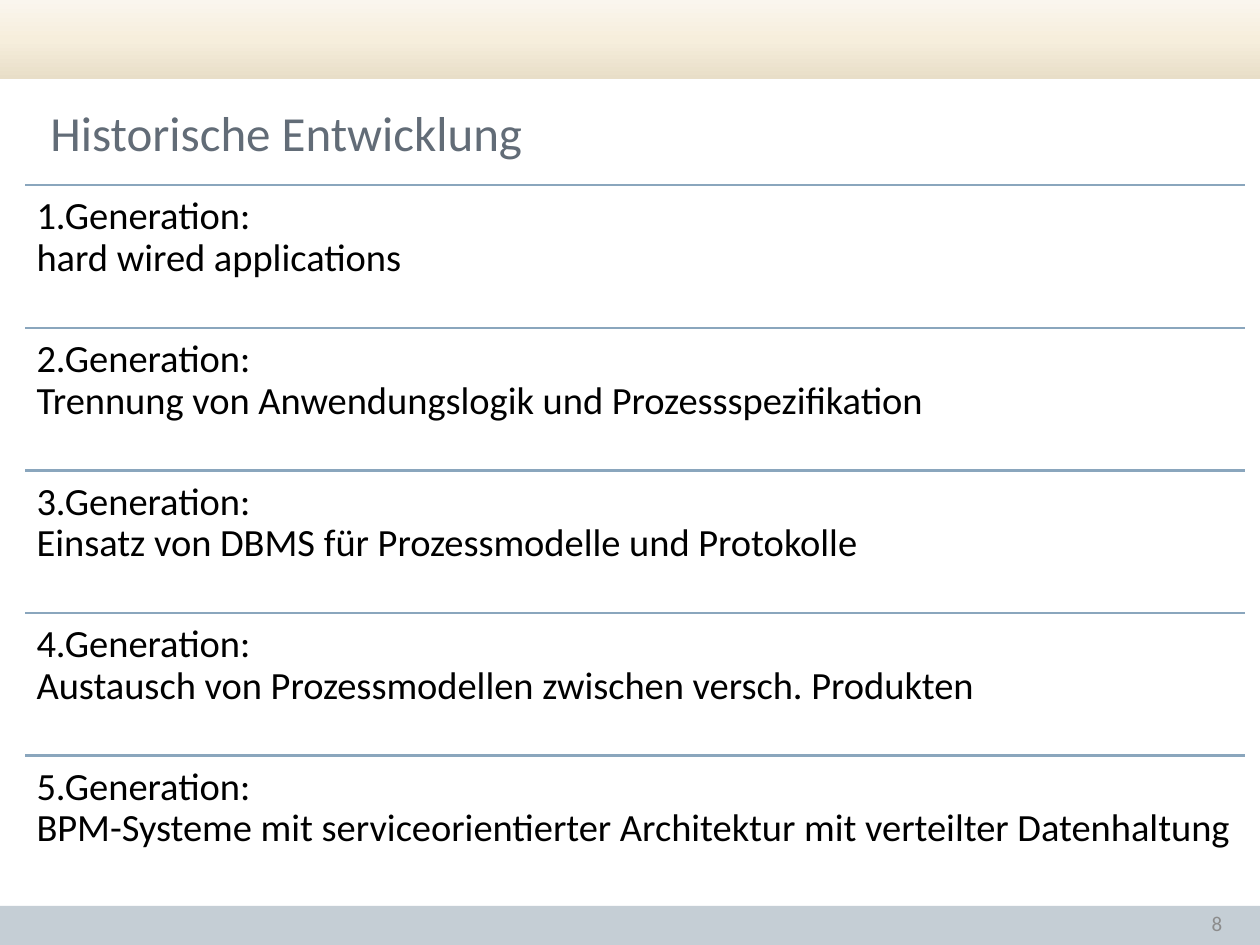
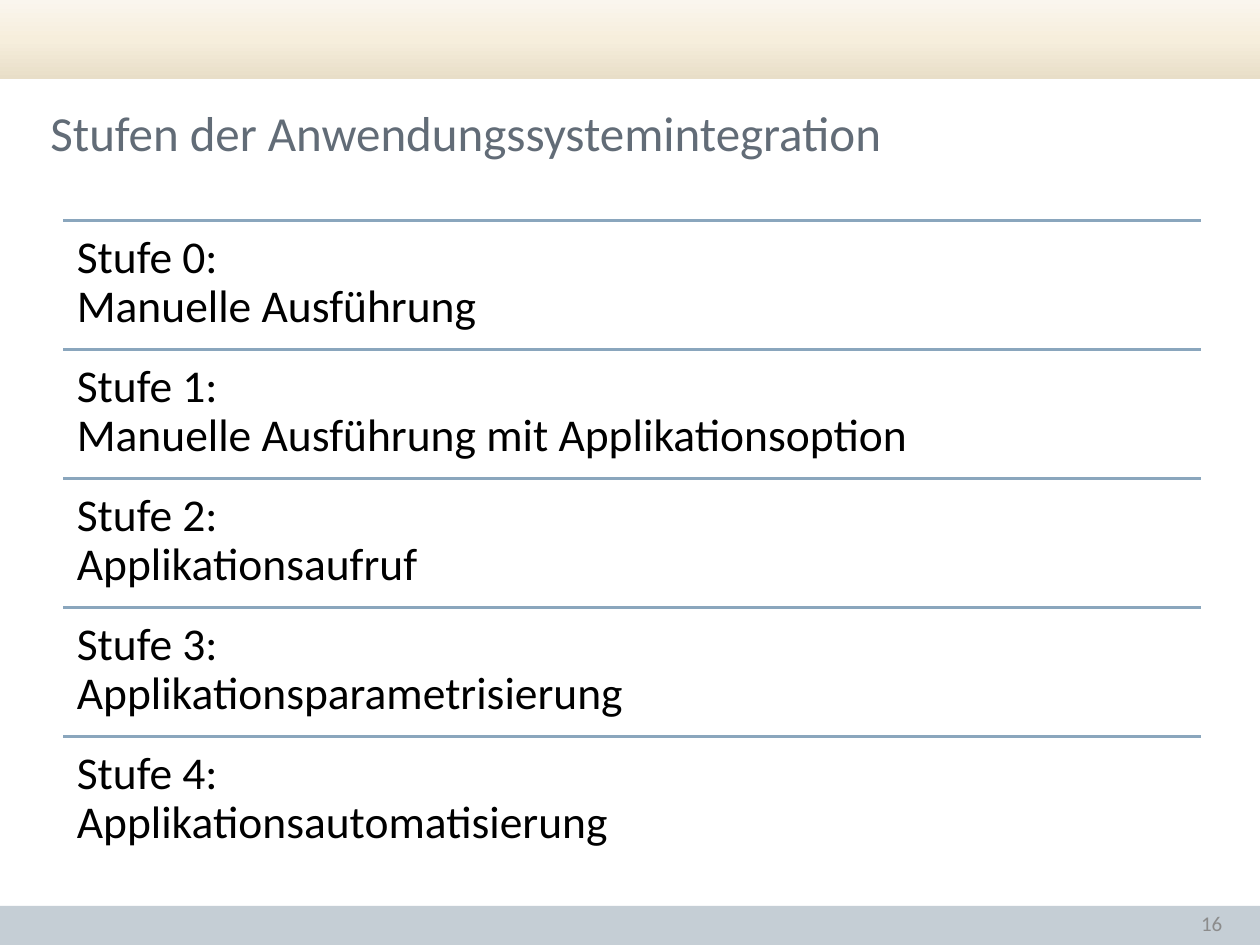
from copy import deepcopy
from dataclasses import dataclass

from lxml import etree
from pptx import Presentation
from pptx.dml.color import RGBColor
from pptx.enum.shapes import MSO_CONNECTOR, MSO_SHAPE
from pptx.enum.text import MSO_ANCHOR, MSO_AUTO_SIZE, PP_ALIGN
from pptx.oxml.ns import qn
from pptx.util import Inches, Pt

RECTANGLE = MSO_SHAPE.RECTANGLE
STRAIGHT = MSO_CONNECTOR.STRAIGHT
TOP, MIDDLE = MSO_ANCHOR.TOP, MSO_ANCHOR.MIDDLE
LEFT, RIGHT = PP_ALIGN.LEFT, PP_ALIGN.RIGHT
NO_AUTOFIT = MSO_AUTO_SIZE.NONE
TITLE_ONLY = 5
COLUMNS, ROWS = 100, 75


@dataclass(frozen=True)
class Theme:
    """Colours, font and type sizes of the deck."""
    font: str = "Calibri"
    title: str = "626C77"
    body: str = "000000"
    page: str = "8C8C8C"
    rule: str = "8AA6BD"
    footer: str = "C5CED5"
    header: tuple = ("E8DEC8", "F6EEDC", "FAF6EE")
    title_size: int = 28
    page_size: int = 12
    rule_width: float = 1.5


@dataclass(frozen=True)
class ListArea:
    """Grid edges, inset and type size of a ruled list."""
    left: float
    top: float
    right: float
    bottom: float
    inset: float
    size: int


GENERATIONS = [
    ("1.Generation:", "hard wired applications"),
    ("2.Generation:", "Trennung von Anwendungslogik und Prozessspezifikation"),
    ("3.Generation:", "Einsatz von DBMS für Prozessmodelle und Protokolle"),
    ("4.Generation:", "Austausch von Prozessmodellen zwischen versch. Produkten"),
    ("5.Generation:", "BPM-Systeme mit serviceorientierter Architektur mit verteilter Datenhaltung"),
]
LEVELS = [
    ("Stufe 0:", "Manuelle Ausführung"),
    ("Stufe 1:", "Manuelle Ausführung mit Applikationsoption"),
    ("Stufe 2:", "Applikationsaufruf"),
    ("Stufe 3:", "Applikationsparametrisierung"),
    ("Stufe 4:", "Applikationsautomatisierung"),
]


class Deck:
    """Holds the theme and the current slide and draws each kind of element."""

    def __init__(self, theme):
        """Open a presentation with the slide size set."""
        self.theme = theme
        self.presentation = Presentation()
        self.presentation.slide_width = Inches(10)
        self.presentation.slide_height = Inches(7.5)
        self.slide = None

    def place(self, column, row):
        """Turn a grid position or extent into lengths."""
        return (round(self.presentation.slide_width * column / COLUMNS),
                round(self.presentation.slide_height * row / ROWS))

    def add_slide(self, title, page):
        """Start a slide with its bands, title and page number."""
        layout = self.presentation.slide_layouts[TITLE_ONLY]
        self.slide = self.presentation.slides.add_slide(layout)
        self.shade(self.band(0, 6.3))
        footer = self.band(71.9, 3.1)
        footer.fill.solid()
        footer.fill.fore_color.rgb = RGBColor.from_string(self.theme.footer)
        self.title(title)
        self.text([page], 74.7, 71.3, 23.3, 4, self.theme.page_size,
                  self.theme.page, anchor=MIDDLE, alignment=RIGHT)

    def band(self, top, height):
        """Add a full-width band without outline."""
        shape = self.slide.shapes.add_shape(
            RECTANGLE, *self.place(0, top), *self.place(COLUMNS, height))
        shape.shadow.inherit = False
        shape.line.fill.background()
        return shape

    def shade(self, shape):
        """Fill a shape with the header colours from bottom to top."""
        shape.fill.gradient()
        stops = shape._element.spPr.find(qn("a:gradFill")).find(qn("a:gsLst"))
        stops.insert(1, deepcopy(stops[0]))
        for index, (stop, color) in enumerate(
                zip(shape.fill.gradient_stops, self.theme.header)):
            stop.position = index / (len(self.theme.header) - 1)
            stop.color.rgb = RGBColor.from_string(color)
        shape.fill.gradient_angle = 90

    def title(self, words):
        """Move and format the title placeholder."""
        shape = self.slide.shapes.title
        shape.left, shape.top = self.place(3, 6.2)
        shape.width, shape.height = self.place(97, 8.6)
        self.fill_frame(shape.text_frame, [words], self.theme.title_size,
                        self.theme.title, MIDDLE, LEFT)

    def fill_frame(self, frame, lines, size, color, anchor, alignment):
        """Fill a text frame with one paragraph of broken lines."""
        frame.word_wrap = True
        frame.auto_size = NO_AUTOFIT
        frame.vertical_anchor = anchor
        paragraph = frame.paragraphs[0]
        paragraph.alignment = alignment
        for index, line in enumerate(lines):
            if index:
                paragraph.add_line_break()
            run = paragraph.add_run()
            run.text = line
            run.font.name = self.theme.font
            run.font.size = Pt(size)
            run.font.color.rgb = RGBColor.from_string(color)
        return paragraph

    def text(self, lines, left, top, width, height, size, color,
             anchor=TOP, alignment=LEFT, inset=None, spacing=None):
        """Add a text box on the grid."""
        shape = self.slide.shapes.add_textbox(
            *self.place(left, top), *self.place(width, height))
        frame = shape.text_frame
        if inset is not None:
            frame.margin_left = frame.margin_right = Inches(inset)
            frame.margin_top = frame.margin_bottom = Inches(inset)
        paragraph = self.fill_frame(frame, lines, size, color, anchor, alignment)
        paragraph.line_spacing = spacing

    def rule(self, left, right, row):
        """Add a horizontal rule."""
        connector = self.slide.shapes.add_connector(
            STRAIGHT, *self.place(left, row), *self.place(right, row))
        connector.line.color.rgb = RGBColor.from_string(self.theme.rule)
        connector.line.width = Pt(self.theme.rule_width)
        etree.SubElement(connector._element.spPr, qn("a:effectLst"))

    def ruled_list(self, entries, area):
        """Stack entries at equal pitch, each below its rule."""
        pitch = (area.bottom - area.top) / len(entries)
        for index, entry in enumerate(entries):
            top = area.top + index * pitch
            self.rule(area.left, area.right, top)
            self.text(entry, area.left, top, area.right - area.left, pitch,
                      area.size, self.theme.body, inset=area.inset, spacing=0.9)


def main():
    """Build and save the two slides."""
    deck = Deck(Theme())
    deck.add_slide("Historische Entwicklung", "8")
    deck.ruled_list(GENERATIONS, ListArea(2, 14.7, 98.8, 71.3, 0.09, 22))
    deck.add_slide("Stufen der Anwendungssystemintegration", "16")
    deck.ruled_list(LEVELS, ListArea(5, 17.5, 95.3, 68.7, 0.11, 26))
    deck.presentation.save("out.pptx")


if __name__ == "__main__":
    main()
